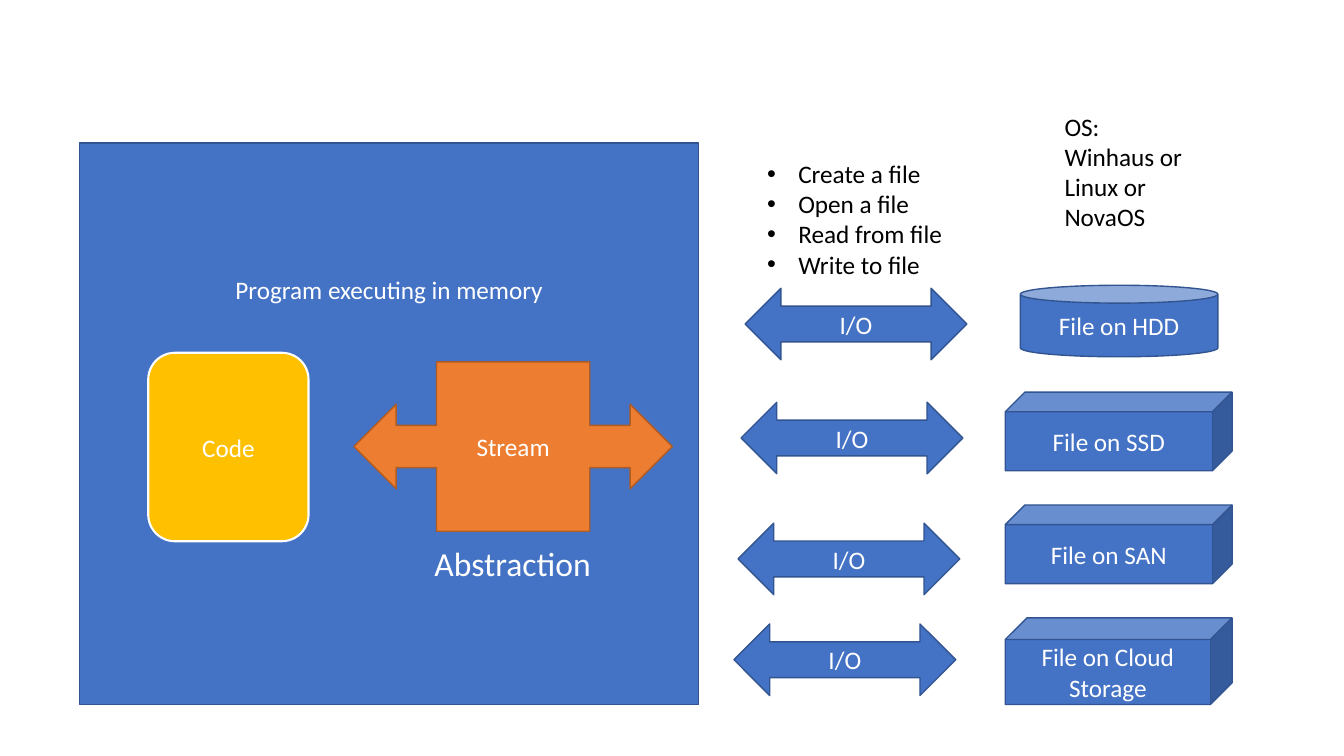
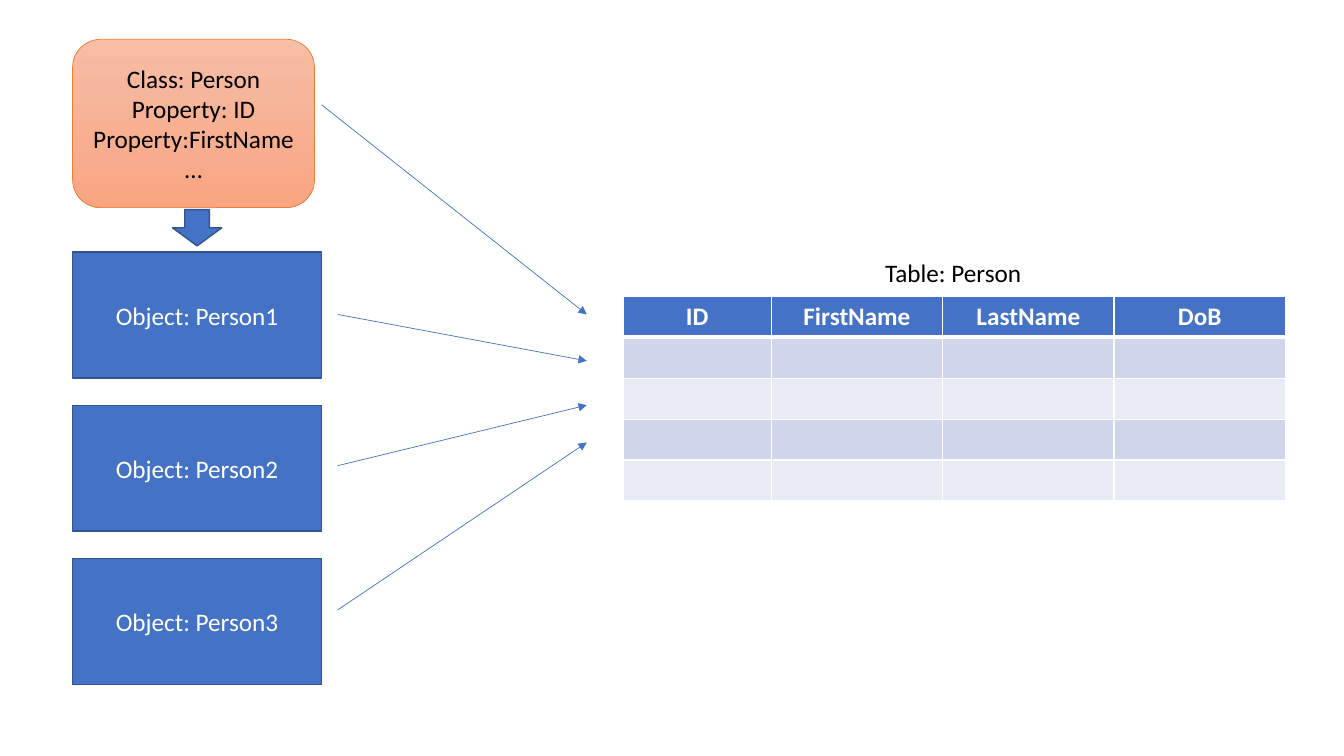
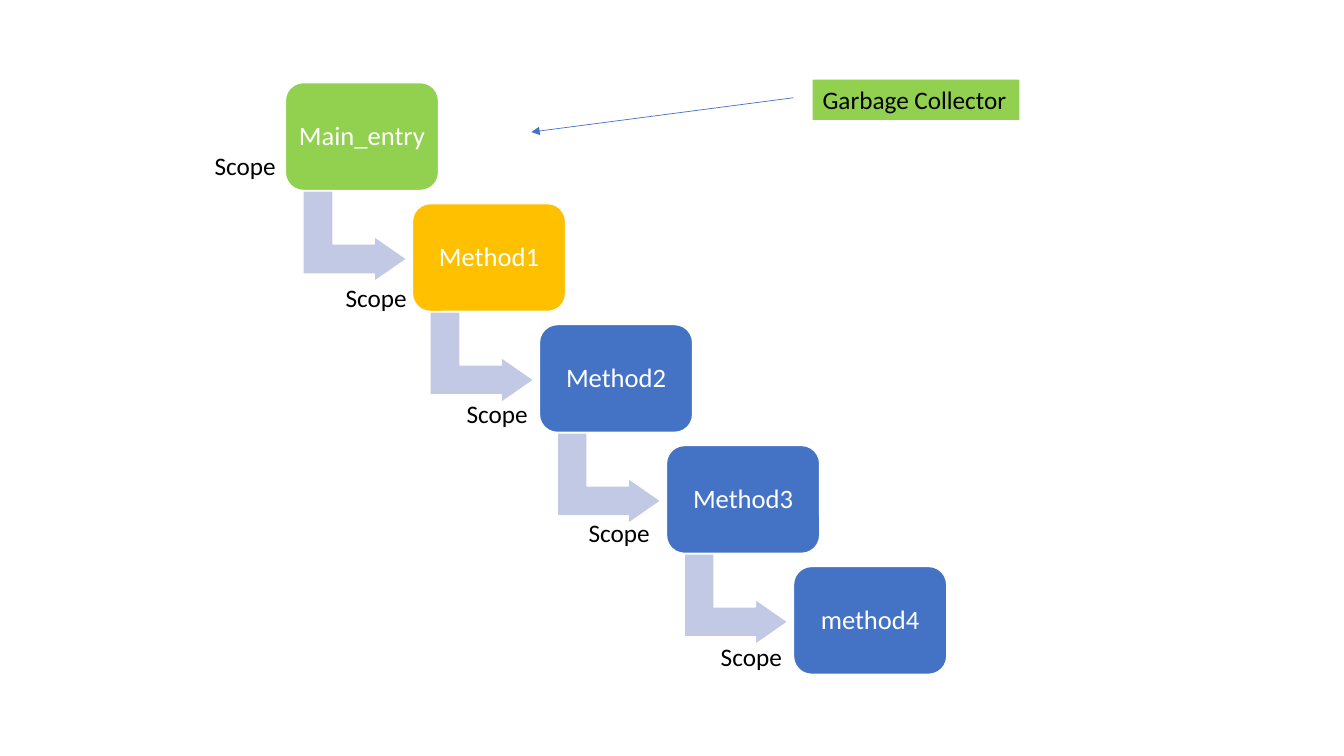
from pptx import Presentation
from pptx.dml.color import RGBColor
from pptx.enum.shapes import MSO_CONNECTOR, MSO_SHAPE as SHAPE
from pptx.enum.text import MSO_ANCHOR, MSO_AUTO_SIZE, PP_ALIGN
from pptx.oxml.ns import qn
from pptx.util import Inches, Pt
from lxml.etree import SubElement

FONT = "Calibri"
WHITE = RGBColor(0xFF, 0xFF, 0xFF)
BLACK = RGBColor(0x00, 0x00, 0x00)
BLUE = RGBColor(0x44, 0x72, 0xC4)
DARK_BLUE = RGBColor(0x32, 0x54, 0x91)
ORANGE = RGBColor(0xED, 0x7D, 0x31)
DARK_ORANGE = RGBColor(0xAF, 0x5C, 0x24)
PEACH_TOP = RGBColor(0xF7, 0xBD, 0xA5)
PEACH_BOTTOM = RGBColor(0xF8, 0xA5, 0x82)
GOLD = RGBColor(0xFF, 0xC0, 0x00)
GREEN = RGBColor(0x92, 0xD0, 0x50)
PALE_BLUE = RGBColor(0xC1, 0xC9, 0xE4)
BAND_DARK = RGBColor(0xCF, 0xD5, 0xEA)
BAND_LIGHT = RGBColor(0xE9, 0xEB, 0xF5)


def add_box(slide, at, lines=(), kind=None, fill=BLUE, edge=DARK_BLUE,
            edge_width=1, color=WHITE, size=18):
    """Add a preset shape with centred text, or a text box if kind is None."""
    bounds = [Inches(length) for length in at]
    if kind is None:
        box = slide.shapes.add_textbox(*bounds)
        box.text_frame.word_wrap = False
        box.text_frame.auto_size = MSO_AUTO_SIZE.SHAPE_TO_FIT_TEXT
    else:
        box = slide.shapes.add_shape(kind, *bounds)
        box.shadow.inherit = False
        box.line.color.rgb = edge
        box.line.width = Pt(edge_width)
        box.text_frame.vertical_anchor = MSO_ANCHOR.MIDDLE
    if fill is not None:
        box.fill.solid()
        box.fill.fore_color.rgb = fill
    frame = box.text_frame
    for index, line in enumerate(lines):
        paragraph = frame.add_paragraph() if index else frame.paragraphs[0]
        paragraph.alignment = PP_ALIGN.LEFT if kind is None else PP_ALIGN.CENTER
        run = paragraph.add_run()
        run.text = line
        run.font.name = FONT
        run.font.size = Pt(size)
        run.font.color.rgb = color
    return box


def add_arrow(slide, *ends):
    arrow = slide.shapes.add_connector(
        MSO_CONNECTOR.STRAIGHT, *[Inches(length) for length in ends])
    arrow.line.color.rgb = BLUE
    arrow.line.width = Pt(0.5)
    SubElement(arrow.line._get_or_add_ln(), qn("a:tailEnd"), type="triangle")
    SubElement(arrow._element.spPr, qn("a:effectLst"))


prs = Presentation()
prs.slide_width = Inches(13.33)
prs.slide_height = Inches(7.5)
blank = prs.slide_layouts[6]

# Streams between a program and its files
streams = prs.slides.add_slide(blank)
memory = add_box(streams, (0.79, 1.42, 6.14, 5.57),
                 ["Program executing in memory"], SHAPE.RECTANGLE)
memory.text_frame.margin_bottom = Inches(2.72)
add_box(streams, (3.51, 3.59, 3.16, 1.68), ["Stream"],
        SHAPE.LEFT_RIGHT_ARROW_CALLOUT, ORANGE, DARK_ORANGE)
add_box(streams, (1.47, 3.5, 1.59, 1.87), ["Code"],
        SHAPE.ROUNDED_RECTANGLE, GOLD, WHITE, 1.5)
add_box(streams, (4.21, 5.34, 1.77, 0.5), ["Abstraction"], size=24)

operations = add_box(
    streams, (7.51, 1.52, 1.96, 1.31),
    ["Create a file", "Open a file", "Read from file", "Write to file"],
    fill=None, color=BLACK)
for paragraph in operations.text_frame.paragraphs:
    properties = paragraph._p.get_or_add_pPr()
    properties.set("marL", str(Inches(0.31)))
    properties.set("indent", str(Inches(-0.31)))
    SubElement(properties, qn("a:buFont"), typeface="Arial")
    SubElement(properties, qn("a:buChar"), char="•")

add_box(streams, (10.46, 1.05, 1.44, 1.31),
        ["OS:", "Winhaus or", "Linux or", "NovaOS"], fill=None, color=BLACK)

for left, top in [(7.39, 2.86), (7.35, 3.99), (7.32, 5.19), (7.28, 6.19)]:
    add_box(streams, (left, top, 2.2, 0.71), ["I/O"], SHAPE.LEFT_RIGHT_ARROW)

add_box(streams, (10.12, 2.83, 1.96, 0.71), ["File on HDD"], SHAPE.CAN)
for index, (store, height) in enumerate(
        [("SSD", 0.78), ("SAN", 0.78), ("Cloud Storage", 0.86)]):
    add_box(streams, (9.97, 3.89 + 1.12 * index, 2.25, height),
            [f"File on {store}"], SHAPE.CUBE)

# Classes and objects mapped to a table
mapping = prs.slides.add_slide(blank)
headings = ["ID", "FirstName", "LastName", "DoB"]
people = mapping.shapes.add_table(
    5, len(headings), Inches(6.18), Inches(2.94), Inches(6.57), Inches(2.03)).table
for column, width in zip(people.columns, [1.47, 1.7, 1.7, 1.7]):
    column.width = Inches(width)
for row_index, row in enumerate(people.rows):
    for cell, heading in zip(row.cells, headings):
        for side in ("L", "R", "T", "B"):
            under_header = (row_index, side) in [(0, "B"), (1, "T")]
            border = SubElement(cell._tc.get_or_add_tcPr(), qn(f"a:ln{side}"),
                                w=str(Pt(3 if under_header else 1)))
            paint = SubElement(border, qn("a:solidFill"))
            SubElement(paint, qn("a:srgbClr"), val=str(WHITE))
        cell.fill.solid()
        if row_index:
            cell.fill.fore_color.rgb = BAND_DARK if row_index % 2 else BAND_LIGHT
            continue
        cell.fill.fore_color.rgb = BLUE
        paragraph = cell.text_frame.paragraphs[0]
        paragraph.alignment = PP_ALIGN.CENTER
        run = paragraph.add_run()
        run.text = heading
        run.font.name = FONT
        run.font.size = Pt(18)
        run.font.bold = True
        run.font.color.rgb = WHITE
add_box(mapping, (8.68, 2.5, 1.57, 0.4), ["Table: Person"], fill=None, color=BLACK)

person_class = add_box(
    mapping, (0.72, 0.39, 2.4, 1.67),
    ["Class: Person", "Property: ID", "Property:FirstName", "…"],
    SHAPE.ROUNDED_RECTANGLE, None, ORANGE, 0.5, BLACK)
person_class.fill.gradient()
person_class.fill.gradient_angle = 270
for stop, shade in zip(person_class.fill.gradient_stops, [PEACH_TOP, PEACH_BOTTOM]):
    stop.color.rgb = shade

add_box(mapping, (1.71, 2.08, 0.49, 0.36), kind=SHAPE.DOWN_ARROW)
for index in range(3):
    add_box(mapping, (0.72, 2.5 + 1.52 * index, 2.47, 1.25),
            [f"Object: Person{index + 1}"], SHAPE.RECTANGLE)
for left, start, end in [(3.19, 1.04, 3.12), (3.35, 3.12, 3.58),
                         (3.35, 4.62, 4.02), (3.35, 6.05, 4.39)]:
    add_arrow(mapping, left, start, 5.82, end)

# Method calls and their scopes
calls = prs.slides.add_slide(blank)
methods = [("Main_entry", GREEN), ("Method1", GOLD), ("Method2", BLUE),
           ("Method3", BLUE), ("method4", BLUE)]
for index, (method, fill) in enumerate(methods):
    left, top = 2.83 + 1.26 * index, 0.82 + 1.2 * index
    if index < len(methods) - 1:
        turn = add_box(calls, (left + 0.24, top + 1.01, 0.9, 1.03),
                       kind=SHAPE.BENT_UP_ARROW, fill=PALE_BLUE, edge=WHITE)
        turn.rotation = 90
        for position, ratio in enumerate([0.33, 0.25, 0.36]):
            turn.adjustments[position] = ratio
    step = add_box(calls, (left, top, 1.52, 1.07), [method],
                   SHAPE.ROUNDED_RECTANGLE, fill, WHITE, size=19)
    step.text_frame.margin_left = step.text_frame.margin_right = Inches(0.05)
    step.text_frame.paragraphs[0].line_spacing = 0.9

for left, top in [(2.03, 1.44), (3.33, 2.75), (4.53, 3.9), (5.74, 5.08), (7.05, 6.31)]:
    add_box(calls, (left, top, 0.82, 0.4), ["Scope"], fill=None, color=BLACK)
add_box(calls, (8.06, 0.79, 2.05, 0.4), ["Garbage Collector"], fill=GREEN, color=BLACK)
add_arrow(calls, 7.87, 0.97, 5.27, 1.31)

prs.save("out.pptx")
